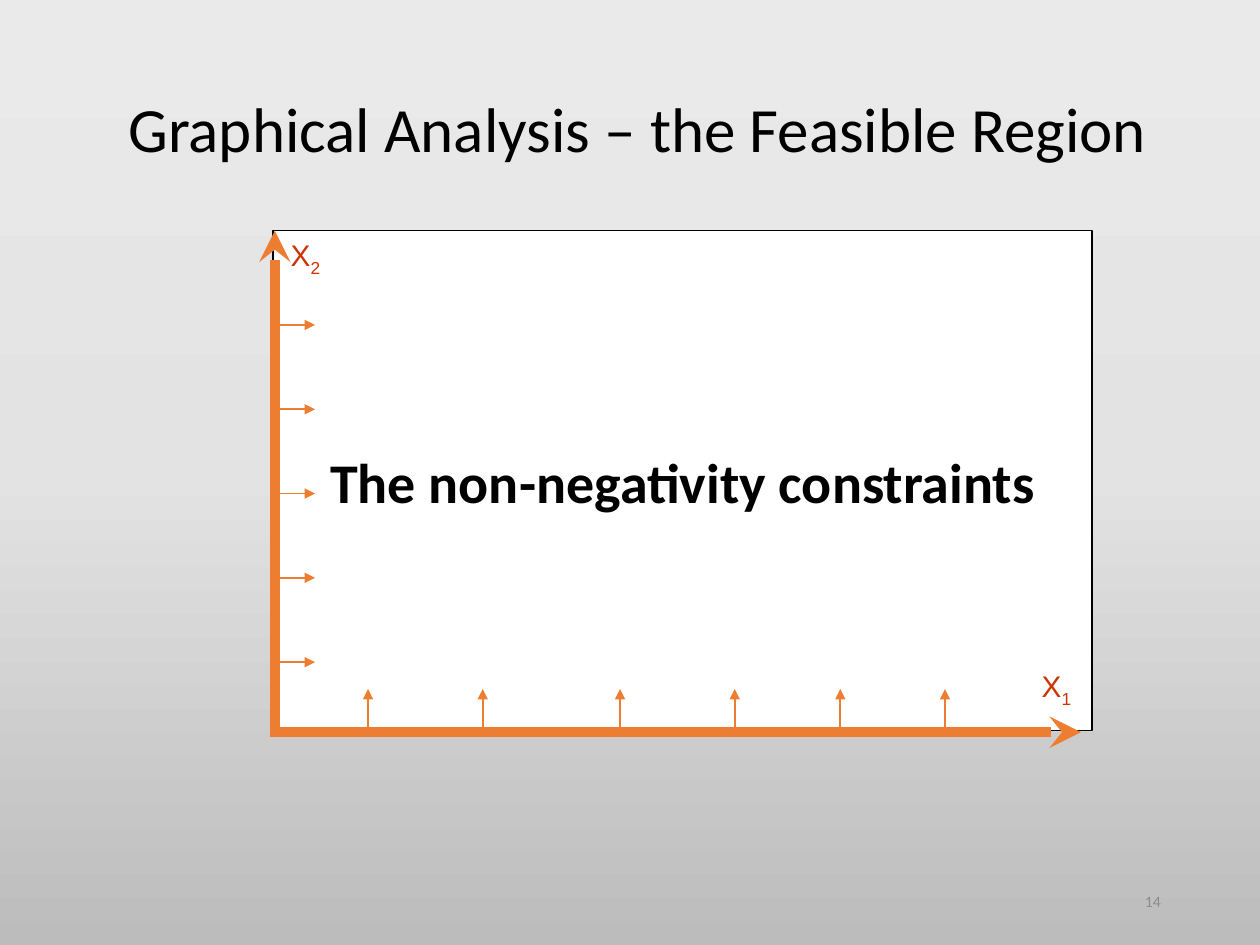
from lxml.etree import SubElement
from pptx import Presentation
from pptx.dml.color import RGBColor
from pptx.enum.shapes import MSO_CONNECTOR, MSO_SHAPE
from pptx.enum.text import MSO_ANCHOR, PP_ALIGN
from pptx.oxml.ns import qn
from pptx.util import Cm, Pt

BLACK = RGBColor(0x00, 0x00, 0x00)
WHITE = RGBColor(0xFF, 0xFF, 0xFF)
GRAY = RGBColor(0x8C, 0x8C, 0x8C)
RED = RGBColor(0xCC, 0x33, 0x00)
ORANGE = RGBColor(0xED, 0x7D, 0x31)

BACKGROUND = [(0, "EBEAEA"), (50, "E4E3E3"), (100, "BDBCBC")]
TITLE = "Graphical Analysis – the Feasible Region"
MESSAGE = "The non-negativity constraints"
PAGE_NUMBER = "14"

# Lengths in centimetres
PLOT = (5.51, 4.65, 16.51, 10.08)
AXIS_LABELS = [("2", 5.61, 4.65), ("1", 20.75, 13.34)]
X_AXIS = (5.44, 14.76, 21.79, 14.76)
Y_AXIS = (5.54, 14.68, 5.54, 4.65)
RIGHT_ARROW_ROWS = [6.55 + 1.7 * row for row in range(5)]
UP_ARROW_COLUMNS = [7.42, 9.73, 12.5, 14.81, 16.94, 19.05]
RIGHT_ARROW_LENGTH = 0.84
UP_ARROW_LENGTH = 0.87


def paint_background(slide):
    fill = slide.background.fill
    fill.gradient()
    fill.gradient_angle = 270
    stops = next(slide.element.iter(qn("a:gsLst")))
    for stop in list(stops):
        stops.remove(stop)
    for percent, color in BACKGROUND:
        stop = SubElement(stops, qn("a:gs"), pos=str(percent * 1000))
        SubElement(stop, qn("a:srgbClr"), val=color)


def style(paragraph, size, color, font="Calibri", bold=False):
    paragraph.font.size = Pt(size)
    paragraph.font.name = font
    paragraph.font.bold = bold
    paragraph.font.color.rgb = color


def add_text(slide, box, text, size, color, font="Calibri",
             anchor=MSO_ANCHOR.MIDDLE, wrap=True):
    """Add a text box and return its paragraph."""
    frame = slide.shapes.add_textbox(*map(Cm, box)).text_frame
    frame.word_wrap = wrap
    frame.vertical_anchor = anchor
    paragraph = frame.paragraphs[0]
    paragraph.add_run().text = text
    style(paragraph, size, color, font)
    return paragraph


def add_axis_label(slide, index, left, top):
    label = add_text(slide, (left, top, 1.12, 0.97), "X", 17, RED, "Arial",
                     MSO_ANCHOR.TOP, wrap=False)
    subscript = label.add_run()
    subscript.text = index
    subscript.font._element.set("baseline", "-25000")


def add_plot_area(slide):
    plot = slide.shapes.add_shape(MSO_SHAPE.RECTANGLE, *map(Cm, PLOT))
    plot.shadow.inherit = False
    plot.fill.solid()
    plot.fill.fore_color.rgb = WHITE
    plot.line.color.rgb = BLACK
    plot.line.width = Pt(1)
    frame = plot.text_frame
    frame.word_wrap = False
    frame.vertical_anchor = MSO_ANCHOR.MIDDLE
    message = frame.paragraphs[0]
    message.text = MESSAGE
    message.alignment = PP_ALIGN.CENTER
    style(message, 32, BLACK, bold=True)


def add_arrow(slide, ends, width=1, head="triangle"):
    arrow = slide.shapes.add_connector(MSO_CONNECTOR.STRAIGHT, *map(Cm, ends))
    arrow.line.color.rgb = ORANGE
    arrow.line.width = Pt(width)
    SubElement(arrow.line._get_or_add_ln(), qn("a:tailEnd"), type=head)
    SubElement(arrow._element.spPr, qn("a:effectLst"))


def main():
    deck = Presentation()
    deck.slide_width, deck.slide_height = Cm(25.4), Cm(19.05)
    slide = deck.slides.add_slide(deck.slide_layouts[6])
    paint_background(slide)

    title = add_text(slide, (2.34, 1.07, 21.79, 3.18), TITLE, 36, BLACK)
    title.line_spacing = 0.9
    number = add_text(slide, (17.93, 17.65, 5.72, 1.02), PAGE_NUMBER, 9, GRAY)
    number.alignment = PP_ALIGN.RIGHT

    add_plot_area(slide)
    for label in AXIS_LABELS:
        add_axis_label(slide, *label)
    for axis in (X_AXIS, Y_AXIS):
        add_arrow(slide, axis, width=6, head="stealth")

    left, base = PLOT[0], X_AXIS[1]
    for y in RIGHT_ARROW_ROWS:
        add_arrow(slide, (left, y, left + RIGHT_ARROW_LENGTH, y))
    for x in UP_ARROW_COLUMNS:
        add_arrow(slide, (x, base, x, base - UP_ARROW_LENGTH))

    deck.save("out.pptx")


if __name__ == "__main__":
    main()
